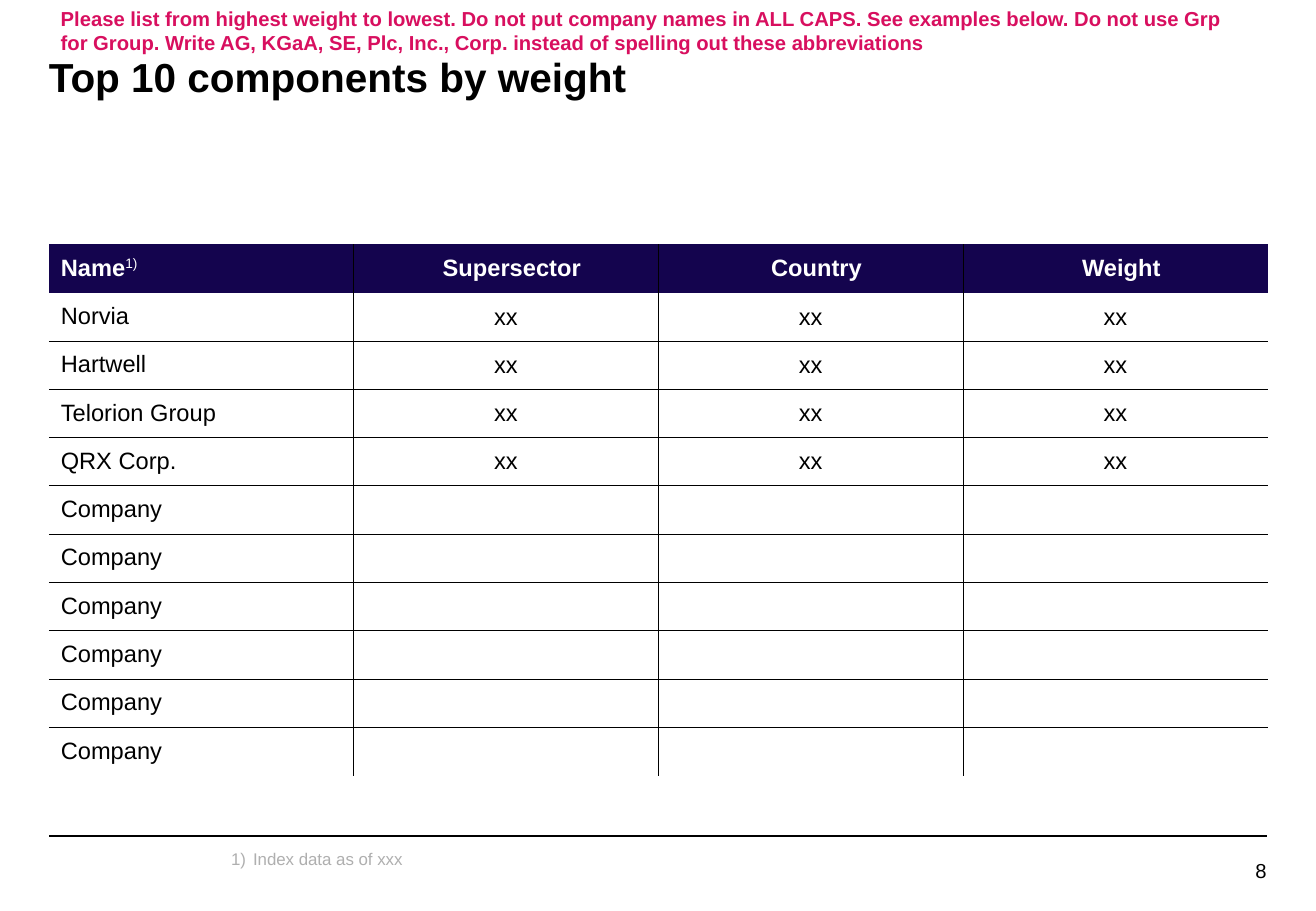
from lxml import etree
from pptx import Presentation
from pptx.dml.color import RGBColor
from pptx.enum.shapes import MSO_CONNECTOR
from pptx.enum.text import MSO_ANCHOR, MSO_AUTO_SIZE, PP_ALIGN
from pptx.oxml.ns import qn
from pptx.util import Cm, Pt

LEFT, CENTER, RIGHT = PP_ALIGN.LEFT, PP_ALIGN.CENTER, PP_ALIGN.RIGHT
TOP, MIDDLE = MSO_ANCHOR.TOP, MSO_ANCHOR.MIDDLE
STRAIGHT = MSO_CONNECTOR.STRAIGHT
NO_FIT = MSO_AUTO_SIZE.NONE

FONT = "Arial"
BLACK, WHITE, NAVY, PINK, GREY = "000000", "FFFFFF", "14044E", "D80F5F", "AFAFAF"
MARGIN, CONTENT_W = 1.02, 25.46
COL_W, ROW_H = 6.37, 1.01

HEADERS = ["Name", "Supersector", "Country", "Weight"]
EXAMPLES = ["Norvia", "Hartwell", "Telorion Group", "QRX Corp."]
ROWS = ([HEADERS] + [[name] + ["xx"] * 3 for name in EXAMPLES]
        + [["Company", "", "", ""]] * 6)
WARNING = ("Please list from highest weight to lowest. Do not put company names in ALL CAPS. "
           "See examples below. Do not use Grp for Group. Write AG, KGaA, SE, Plc, Inc., Corp. "
           "instead of spelling out these abbreviations")


def rgb(color):
    return RGBColor.from_string(color)


def format_run(r, size, color, bold=False):
    r.font.name = FONT
    r.font.size = Pt(size)
    r.font.bold = bold
    r.font.color.rgb = rgb(color)


def format_text(tf, size, color, bold=False, align=LEFT, spacing=0.95):
    p = tf.paragraphs[0]
    p.alignment = align
    p.line_spacing = spacing
    for r in p.runs:
        format_run(r, size, color, bold)
    return p


def set_margins(target, left, top, right, bottom):
    target.margin_left, target.margin_top = Cm(left), Cm(top)
    target.margin_right, target.margin_bottom = Cm(right), Cm(bottom)


def add_title(s, text):
    title = s.shapes.title
    title.left, title.top = Cm(MARGIN), Cm(1.09)
    title.width, title.height = Cm(CONTENT_W), Cm(2.13)
    tf = title.text_frame
    tf.text = text
    tf.auto_size = NO_FIT
    tf.vertical_anchor = TOP
    set_margins(tf, 0, 0, 0, 0)
    format_text(tf, 24, BLACK, bold=True, spacing=1.0)


def add_text(s, text, x, y, w, h, size, color, margins=(0, 0, 0, 0),
             bold=False, align=LEFT, anchor=TOP, spacing=0.95):
    tf = s.shapes.add_textbox(Cm(x), Cm(y), Cm(w), Cm(h)).text_frame
    tf.text = text
    tf.word_wrap = True
    tf.vertical_anchor = anchor
    set_margins(tf, *margins)
    return format_text(tf, size, color, bold, align, spacing)


def number_paragraph(p, indent):
    pPr = p._p.get_or_add_pPr()
    pPr.set("marL", str(Cm(indent)))
    pPr.set("indent", str(-Cm(indent)))
    etree.SubElement(pPr, qn("a:buFont"), typeface="+mj-lt")
    etree.SubElement(pPr, qn("a:buAutoNum"), type="arabicParenR")


def add_rule(s, y):
    line = s.shapes.add_connector(STRAIGHT, Cm(MARGIN + CONTENT_W), Cm(y), Cm(MARGIN), Cm(y))
    line.line.color.rgb = rgb(BLACK)
    line.line.width = Pt(1)
    etree.SubElement(line._element.spPr, qn("a:effectLst"))


def set_borders(cell, visible):
    tcPr = cell._tc.get_or_add_tcPr()
    for side in "LRTB":
        ln = etree.SubElement(tcPr, qn(f"a:ln{side}"), w=str(Pt(0.5)))
        if side in visible:
            fill = etree.SubElement(ln, qn("a:solidFill"))
            etree.SubElement(fill, qn("a:srgbClr"), val=BLACK)
        else:
            etree.SubElement(ln, qn("a:noFill"))


def inner_sides(row, col):
    last_row, last_col = len(ROWS) - 1, len(HEADERS) - 1
    checks = {"L": col > 0, "R": col < last_col, "T": row > 1, "B": 0 < row < last_row}
    return [side for side, inside in checks.items() if inside]


def fill_cell(cell, text, row, col):
    header = row == 0
    set_borders(cell, inner_sides(row, col))
    if header:
        cell.fill.solid()
        cell.fill.fore_color.rgb = rgb(NAVY)
    else:
        cell.fill.background()
    cell.vertical_anchor = MIDDLE
    pad = 0.2 if text else 0
    set_margins(cell, 0.25 if header or col == 0 else 0.1, pad, 0 if header else 0.1, pad)
    cell.text_frame.text = text
    return format_text(cell.text_frame, 14, WHITE if header else BLACK, header,
                       CENTER if col else LEFT, 0.95 if header or col == 0 else 1.0)


def add_components_table(s):
    n_rows, n_cols = len(ROWS), len(HEADERS)
    table = s.shapes.add_table(n_rows, n_cols, Cm(MARGIN), Cm(5.11),
                               Cm(COL_W * n_cols), Cm(ROW_H * n_rows)).table
    table.horz_banding = False
    for column in table.columns:
        column.width = Cm(COL_W)
    for i, values in enumerate(ROWS):
        table.rows[i].height = Cm(ROW_H)
        for j, text in enumerate(values):
            p = fill_cell(table.cell(i, j), text, i, j)
            if i == j == 0:
                r = p.add_run()
                r.text = "1)"
                format_run(r, 14, WHITE)
                r.font._element.set("baseline", "30000")


def main():
    prs = Presentation()
    prs.slide_width, prs.slide_height = Cm(27.51), Cm(19.05)
    s = prs.slides.add_slide(prs.slide_layouts[5])
    add_rule(s, 17.48)
    add_text(s, "8", 24.21, 17.98, 2.27, 0.48, 12, BLACK, align=RIGHT)
    add_title(s, "Top 10 components by weight")
    add_components_table(s)
    note = add_text(s, "Index data as of xxx", 4.83, 17.78, 21.08, 1.02, 10, GREY)
    number_paragraph(note, 0.46)
    add_text(s, WARNING, MARGIN, 0, CONTENT_W, 1.27, 12, PINK, (0.25, 0.13, 0.25, 0.13),
             bold=True, anchor=MIDDLE, spacing=1.0)
    prs.save("out.pptx")


if __name__ == "__main__":
    main()
